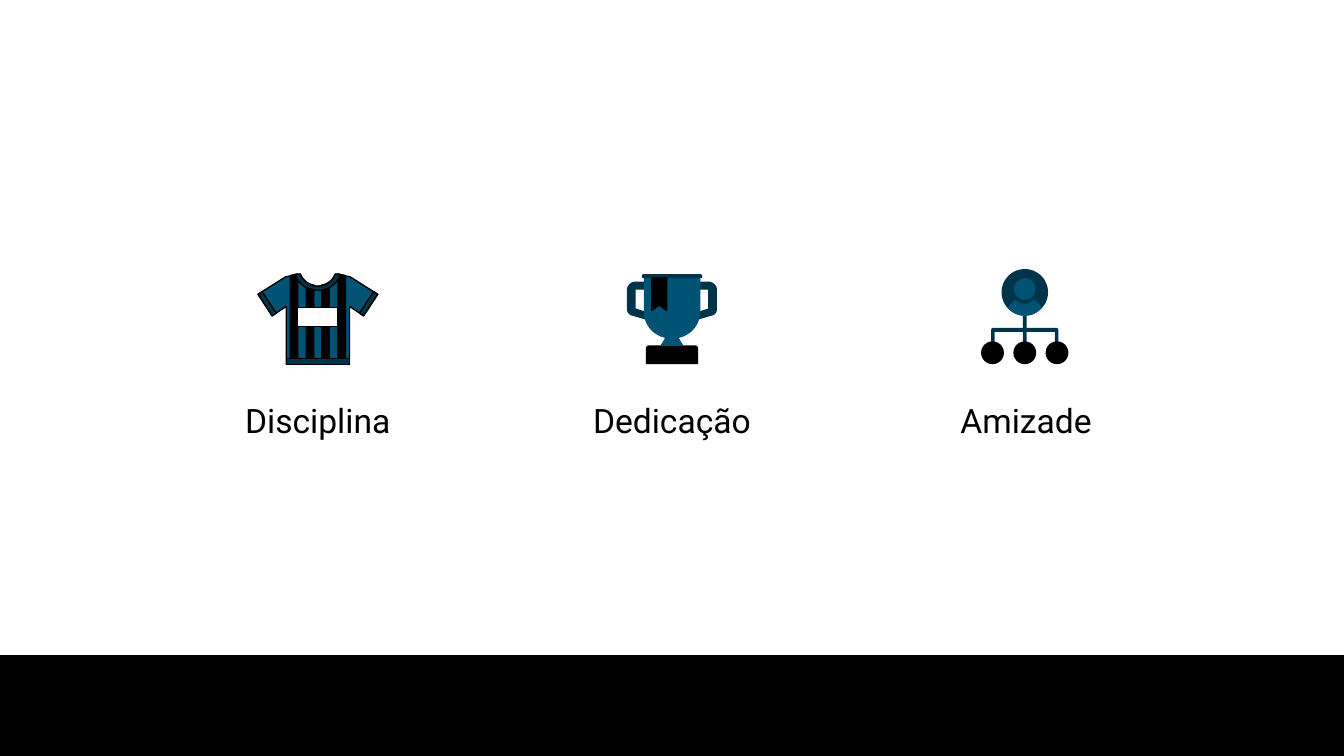
from dataclasses import dataclass
from enum import Enum

from pptx import Presentation
from pptx.dml.color import RGBColor
from pptx.enum.shapes import MSO_SHAPE
from pptx.enum.text import MSO_ANCHOR, PP_ALIGN
from pptx.util import Inches, Pt

WIDTH = Inches(10)
HEIGHT = WIDTH * 9 // 16
UNIT = WIDTH / 1000
COLUMN_PITCH = 263.5
ICON_TOP = 200
CURVE_STEPS = 12
BLUE, NAVY, BLACK, WHITE = "005375", "00344A", "000000", "FFFFFF"


class Layout(Enum):
    SINGLE = 1
    PAIR = 2
    HALF = 3


@dataclass
class Outline:
    fill: str
    steps: list[tuple[float, ...]]
    layout: Layout = Layout.HALF
    border: float = 0


@dataclass
class Disc:
    fill: str
    x: float
    y: float
    radius: float


@dataclass
class Value:
    label: str
    icon: list
    icon_shift: float = 0


SHIRT = [
    Outline(BLUE, [(0, 13), (6, 13, 11, 9, 13, 4), (24, 6), (44.5, 19), (34, 35),
                   (23.5, 28), (23.5, 71)], border=0.75),
    Outline(BLACK, [(15, 4), (20.5, 5), (20.5, 71), (15, 71)], Layout.PAIR, 0.75),
    Outline(BLACK, [(8.5, 10), (7, 11, 5, 12, 3, 12), (3, 71), (8.5, 71)], Layout.PAIR, 0.75),
    Outline(NAVY, [(0, 13), (6, 13, 11, 9, 13, 4), (16.5, 4), (16.5, 5),
                   (14, 12, 7, 16, 0, 16)], border=0.75),
    Outline(NAVY, [(41.5, 17), (31, 33), (34, 35), (44.5, 19)], Layout.PAIR, 0.75),
    Outline(NAVY, [(23.5, 67), (23.5, 71)], border=0.75),
    Outline(WHITE, [(15, 29), (15, 43)], border=0.75),
]

TROPHY = [
    Outline(NAVY, [(18.5, 9.5), (18.5, 15.5), (27, 15.5), (27, 29.5), (21, 31.5), (19, 32.5),
                   (19, 34.5, 18, 36.5, 17.5, 38.5), (20.5, 37.5), (29, 35),
                   (32, 34.5, 33.5, 32.5, 33.5, 29.5), (33.5, 15.5),
                   (33.5, 12.5, 30.5, 9.5, 27, 9.5)], Layout.PAIR),
    Outline(BLUE, [(2, 46), (6.5, 54), (8.5, 57)]),
    Outline(BLUE, [(21, 7), (21, 32), (21, 43, 12, 52, 0, 52)]),
    Outline(NAVY, [(21, 4), (22, 4, 22.5, 5, 22.5, 5.5), (22.5, 7, 22, 7, 21, 7)]),
    Outline(BLACK, [(17, 57), (18.5, 57, 19.5, 58, 19.5, 60), (19.5, 71)]),
    Outline(BLACK, [(-15, 7), (-15, 31), (-9.5, 27), (-4, 31), (-4, 7)], Layout.SINGLE, 0.75),
]

TEAM = [
    Outline(NAVY, [(0, 33), (1, 33, 1.3, 34, 1.3, 35), (1.3, 44), (23.5, 44),
                   (24.5, 44, 25, 45, 25, 45.5), (25, 54), (25, 55, 22.5, 55, 22.5, 54),
                   (22.5, 47), (1.3, 47), (1.3, 54), (1.3, 55, 0, 55, 0, 55)]),
    Disc(NAVY, 0, 17.5, 17.3),
    Disc(BLUE, 0, 15, 8),
    *(Disc(BLACK, x, 62.5, 8.5) for x in (-24, 0, 24)),
    Outline(BLUE, [(0, 26), (3, 26, 5, 25, 7, 23), (9.5, 25, 11.5, 27, 12.5, 29),
                   (9.5, 33, 5, 35, 0, 35)]),
]

VALUES = [Value("Disciplina", SHIRT), Value("Dedicação", TROPHY), Value("Amizade", TEAM, -1)]


def color(code: str) -> RGBColor:
    return RGBColor.from_string(code)


def paint(shape, fill: str, border: float = 0) -> None:
    shape.shadow.inherit = False
    shape.fill.solid()
    shape.fill.fore_color.rgb = color(fill)
    if border:
        shape.line.color.rgb = color(BLACK)
        shape.line.width = Pt(border)
    else:
        shape.line.fill.background()


def trace(steps: list[tuple[float, ...]]) -> list[tuple[float, float]]:
    points = [steps[0]]
    for step in steps[1:]:
        if len(step) == 2:
            points.append(step)
            continue
        controls = [points[-1], step[:2], step[2:4], step[4:]]
        for index in range(1, CURVE_STEPS + 1):
            t = index / CURVE_STEPS
            weights = ((1 - t) ** 3, 3 * t * (1 - t) ** 2, 3 * t ** 2 * (1 - t), t ** 3)
            points.append(tuple(
                sum(weight * control[axis] for weight, control in zip(weights, controls))
                for axis in (0, 1)))
    return points


def draw_outline(page, outline: Outline, center: float) -> None:
    points = trace(outline.steps)
    mirrored = [(-x, y) for x, y in reversed(points)]
    polygons = {
        Layout.SINGLE: [points],
        Layout.PAIR: [points, mirrored],
        Layout.HALF: [points + mirrored],
    }[outline.layout]
    for polygon in polygons:
        start, *rest = [(round((center + x) * UNIT), round((ICON_TOP + y) * UNIT))
                        for x, y in polygon]
        builder = page.shapes.build_freeform(*start)
        builder.add_line_segments(rest, close=True)
        paint(builder.convert_to_shape(), outline.fill, outline.border)


def draw_disc(page, disc: Disc, center: float) -> None:
    size = round(2 * disc.radius * UNIT)
    left = round((center + disc.x - disc.radius) * UNIT)
    top = round((ICON_TOP + disc.y - disc.radius) * UNIT)
    paint(page.shapes.add_shape(MSO_SHAPE.OVAL, left, top, size, size), disc.fill)


def draw_label(page, text: str, center: float) -> None:
    width = round(211 * UNIT)
    box = page.shapes.add_textbox(
        round(center * UNIT) - width // 2, round(291 * UNIT), width, round(43 * UNIT))
    frame = box.text_frame
    frame.word_wrap = True
    frame.vertical_anchor = MSO_ANCHOR.MIDDLE
    frame.margin_left = frame.margin_right = Inches(0.1)
    frame.margin_top = frame.margin_bottom = Inches(0.1)
    para = frame.paragraphs[0]
    para.text = text
    para.alignment = PP_ALIGN.CENTER
    para.font.name = "Roboto"
    para.font.size = Pt(18)
    para.font.color.rgb = color(BLACK)


def draw_icon(page, value: Value, center: float) -> None:
    for part in value.icon:
        draw = draw_disc if isinstance(part, Disc) else draw_outline
        draw(page, part, center + value.icon_shift)


def main() -> None:
    deck = Presentation()
    deck.slide_width, deck.slide_height = WIDTH, HEIGHT
    page = deck.slides.add_slide(deck.slide_layouts[6])
    for column, value in enumerate(VALUES):
        center = 500 + (column - 1) * COLUMN_PITCH
        draw_label(page, value.label, center)
        draw_icon(page, value, center)
    footer = page.shapes.add_shape(
        MSO_SHAPE.RECTANGLE, Inches(-0.1), Inches(4.89), Inches(10.29), Inches(0.82))
    paint(footer, BLACK, 2)
    deck.save("out.pptx")


if __name__ == "__main__":
    main()
